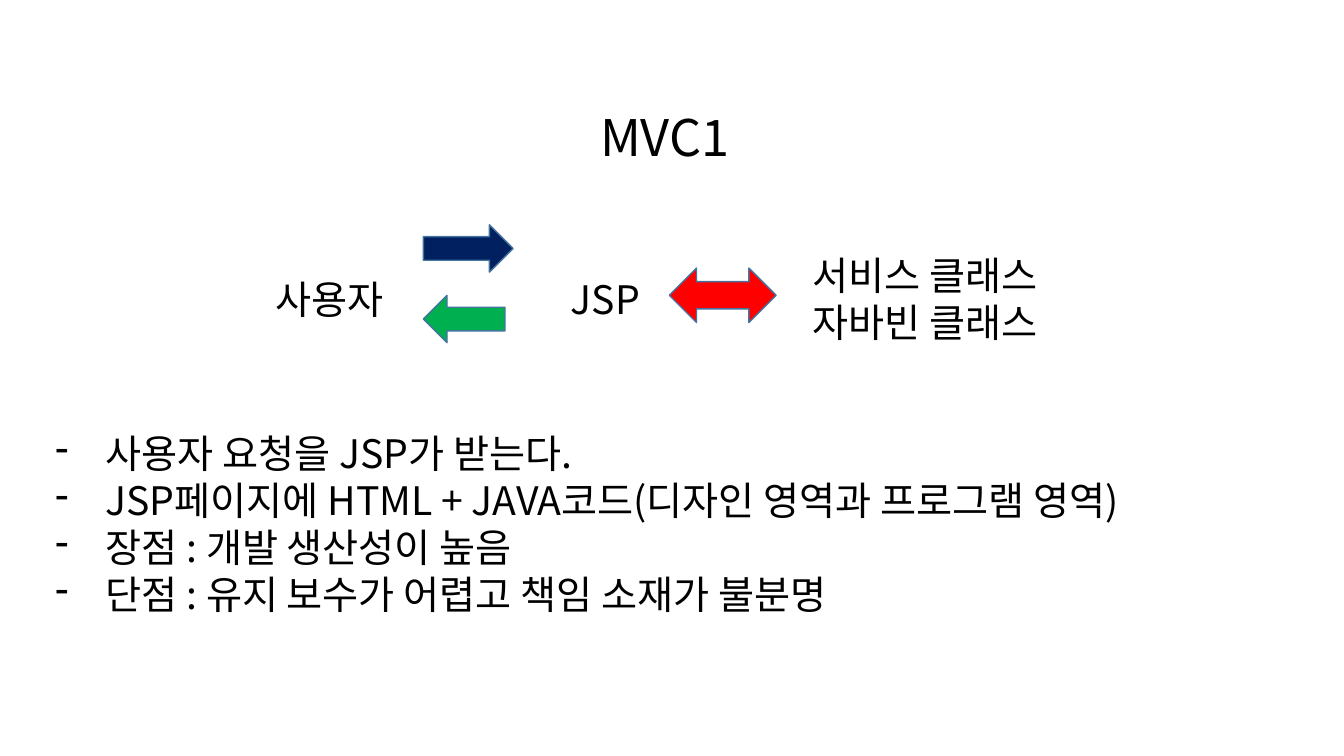
"""Build the MVC1 request flow slide."""
from dataclasses import dataclass

from lxml import etree
from pptx import Presentation
from pptx.dml.color import RGBColor
from pptx.enum.shapes import MSO_SHAPE
from pptx.enum.text import MSO_ANCHOR, PP_ALIGN
from pptx.oxml.ns import qn
from pptx.slide import Slide
from pptx.util import Pt

RIGHT_ARROW = MSO_SHAPE.RIGHT_ARROW
LEFT_ARROW = MSO_SHAPE.LEFT_ARROW
TWO_WAY_ARROW = MSO_SHAPE.LEFT_RIGHT_ARROW
MIDDLE = MSO_ANCHOR.MIDDLE
CENTER = PP_ALIGN.CENTER
LEFT = PP_ALIGN.LEFT

BLACK = RGBColor(0x00, 0x00, 0x00)
NAVY = RGBColor(0x00, 0x20, 0x60)
GREEN = RGBColor(0x00, 0xB0, 0x50)
RED = RGBColor(0xFF, 0x00, 0x00)
OUTLINE = RGBColor(0x43, 0x73, 0x9E)

FONT = "Noto Sans CJK KR"
LINE_RATIO = 1.2
BASELINE_RATIO = 0.14
INSET = 3.6
BULLET_INDENT = 36


@dataclass(frozen=True)
class Label:
    """Text block with its box in points."""

    lines: tuple[str, ...]
    left: float
    top: float
    width: float
    height: float
    size: float = 28
    bulleted: bool = False


@dataclass(frozen=True)
class Arrow:
    """Block arrow with its box in points."""

    kind: MSO_SHAPE
    left: float
    top: float
    width: float
    height: float
    color: RGBColor


LABELS = (
    Label(("MVC1",), 230.4, 45.4, 488.9, 98.6, size=36),
    Label(("사용자",), 162.7, 169.9, 144.7, 82.8),
    Label(("JSP",), 360, 169.9, 144.7, 82.8),
    Label(("서비스 클래스", "자바빈 클래스"), 540.7, 169.9, 240.5, 82.8),
    Label(
        (
            "사용자 요청을 JSP가 받는다.",
            "JSP페이지에 HTML + JAVA코드(디자인 영역과 프로그램 영역)",
            "장점 : 개발 생산성이 높음",
            "단점 : 유지 보수가 어렵고 책임 소재가 불분명",
        ),
        32.4, 267.8, 905.8, 241.9, bulleted=True,
    ),
)

ARROWS = (
    Arrow(RIGHT_ARROW, 302.4, 160.6, 64.1, 33.8, NAVY),
    Arrow(TWO_WAY_ARROW, 478.1, 191.5, 76.3, 38.9, RED),
    Arrow(LEFT_ARROW, 302.4, 211, 58.3, 33.8, GREEN),
)


def add_label(slide: Slide, label: Label) -> None:
    """Draw a text block, with dash bullets if asked for."""
    box = slide.shapes.add_textbox(
        Pt(label.left), Pt(label.top), Pt(label.width), Pt(label.height)
    )
    frame = box.text_frame
    frame.word_wrap = True
    frame.vertical_anchor = MIDDLE
    line_height = label.size * LINE_RATIO
    frame.margin_top = Pt(INSET + label.size * BASELINE_RATIO)
    frame.margin_bottom = Pt(INSET + (line_height if label.bulleted else 0))
    for index, line in enumerate(label.lines):
        paragraph = frame.add_paragraph() if index else frame.paragraphs[0]
        paragraph.alignment = LEFT if label.bulleted else CENTER
        paragraph.line_spacing = Pt(line_height)
        if label.bulleted:
            properties = paragraph._p.get_or_add_pPr()
            properties.set("marL", str(Pt(BULLET_INDENT)))
            properties.set("indent", str(Pt(-BULLET_INDENT)))
            etree.SubElement(properties, qn("a:buChar")).set("char", "-")
        run = paragraph.add_run()
        run.text = line
        run.font.name = FONT
        run.font.size = Pt(label.size)
        run.font.color.rgb = BLACK
        east_asian = etree.SubElement(run._r.get_or_add_rPr(), qn("a:ea"))
        east_asian.set("typeface", FONT)


def add_arrow(slide: Slide, arrow: Arrow) -> None:
    """Draw an outlined block arrow."""
    block = slide.shapes.add_shape(
        arrow.kind, Pt(arrow.left), Pt(arrow.top), Pt(arrow.width), Pt(arrow.height)
    )
    block.shadow.inherit = False
    block.fill.solid()
    block.fill.fore_color.rgb = arrow.color
    block.line.color.rgb = OUTLINE
    block.line.width = Pt(1)


def main() -> None:
    """Assemble and save the slide."""
    deck = Presentation()
    deck.slide_width, deck.slide_height = Pt(960), Pt(540)
    slide = deck.slides.add_slide(deck.slide_layouts[6])
    for label in LABELS:
        add_label(slide, label)
    for arrow in ARROWS:
        add_arrow(slide, arrow)
    deck.save("out.pptx")


if __name__ == "__main__":
    main()
